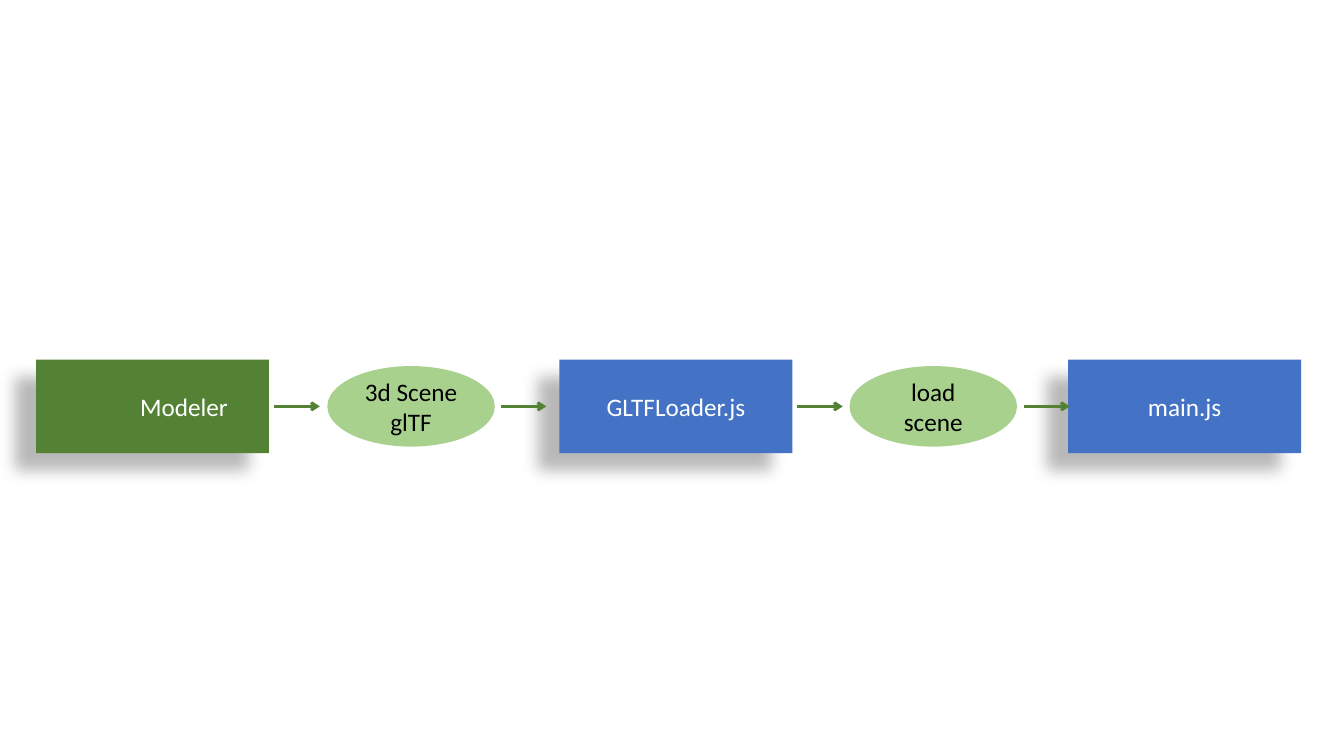
"""Build a slide with the flow from a 3D scene to the main script."""
from lxml.etree import SubElement
from pptx import Presentation
from pptx.dml.color import RGBColor
from pptx.enum.shapes import MSO_CONNECTOR, MSO_SHAPE
from pptx.enum.text import MSO_ANCHOR, PP_ALIGN
from pptx.oxml.ns import qn
from pptx.util import Cm, Pt

GREEN = RGBColor(0x54, 0x82, 0x35)
LIGHT = RGBColor(0xA9, 0xD1, 0x8E)
BLUE = RGBColor(0x44, 0x72, 0xC4)
WHITE = RGBColor(0xFF, 0xFF, 0xFF)
BLACK = RGBColor(0, 0, 0)

MID = 10.24
REACH = 1.15
FONT = {"name": "Calibri", "size": Pt(18), "bold": False}
FRAME = {"word_wrap": True, "vertical_anchor": MSO_ANCHOR.MIDDLE}
SHADE = {"blurRad": Pt(11.8), "dist": Pt(19.7), "dir": 141 * 60000,
         "algn": "ctr", "rotWithShape": 0}
BOX = (MSO_SHAPE.RECTANGLE, 5.87, 2.36, WHITE)
OVAL = (MSO_SHAPE.OVAL, 4.22, 2.03, BLACK)

STEPS = [
    (BOX, 26.92, BLUE, "main.js", 0.25),
    (BOX, 14.1, BLUE, "GLTFLoader.js", 0.25),
    (OVAL, 8.25, LIGHT, "3d Scene\vglTF", 0.25),
    (BOX, 0.91, GREEN, "Modeler", 1.83),
    (OVAL, 21.41, LIGHT, "load scene", 0.25),
]
ARROWS = [6.91, 12.62, 20.09, 25.81]


def assign(item, values):
    for key, value in values.items():
        setattr(item, key, value)


deck = Presentation()
assign(deck, {"slide_width": Cm(33.87), "slide_height": Cm(19.05)})
slide = deck.slides.add_slide(deck.slide_layouts[6])

for (kind, width, height, ink), left, fill, label, inset in STEPS:
    step = slide.shapes.add_shape(
        kind, Cm(left), Cm(MID - height / 2), Cm(width), Cm(height))
    step.fill.solid()
    step.fill.fore_color.rgb = fill
    step.line.fill.background()
    step.shadow.inherit = False
    if kind == MSO_SHAPE.RECTANGLE:
        effect = step.element.spPr.find(qn("a:effectLst"))
        shade = SubElement(effect, qn("a:outerShdw"),
                           {key: str(value) for key, value in SHADE.items()})
        tone = SubElement(shade, qn("a:srgbClr"), val="000000")
        SubElement(tone, qn("a:alpha"), val="28000")
    frame = step.text_frame
    assign(frame, FRAME | {"margin_left": Cm(inset)})
    line = frame.paragraphs[0]
    line.text = label
    line.alignment = PP_ALIGN.CENTER
    for run in line.runs:
        assign(run.font, FONT)
        run.font.color.rgb = ink

for left in ARROWS:
    arrow = slide.shapes.add_connector(
        MSO_CONNECTOR.STRAIGHT, Cm(left), Cm(MID), Cm(left + REACH), Cm(MID))
    arrow.line.color.rgb = GREEN
    arrow.line.width = Pt(2)
    SubElement(arrow.line.fill._xPr, qn("a:tailEnd"), type="arrow")
    SubElement(arrow.element.spPr, qn("a:effectLst"))

deck.save("out.pptx")
